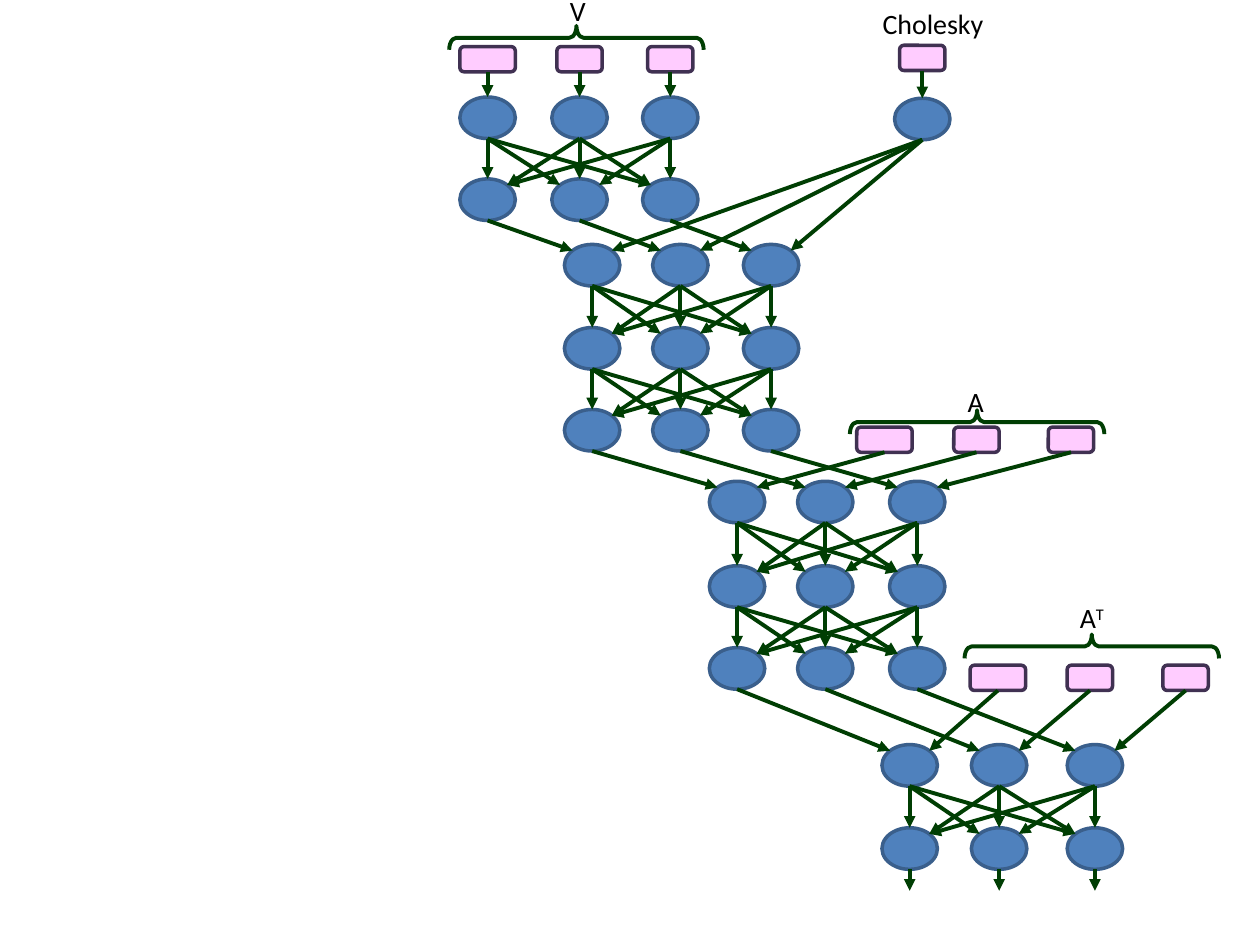
from dataclasses import dataclass
from lxml import etree
from pptx import Presentation
from pptx import util as u
from pptx.dml.color import RGBColor
from pptx.enum import shapes, text
from pptx.oxml import ns


@dataclass(frozen=True)
class Theme:
    node: tuple = ("4F81BD", "3A5F8C")
    block: tuple = ("FFCCFF", "403152")
    arrow: str = "003E03"
    ink: str = "000000"
    font: str = "Calibri"
    size: float = 16
    outline: float = 2
    stroke: float = 2.25


theme = Theme()
OVAL = shapes.MSO_SHAPE.OVAL
BLOCK = shapes.MSO_SHAPE.ROUNDED_RECTANGLE
DIAGONAL = 0.5 ** 0.5

deck = Presentation()
deck.slide_width = u.Inches(10)
deck.slide_height = u.Inches(7.5)
page = deck.slides.add_slide(deck.slide_layouts[6])


def add_node(kind, center, top, width, height, colors):
    node = page.shapes.add_shape(
        kind, u.Inches(center - width / 2), u.Inches(top), u.Inches(width), u.Inches(height)
    )
    node.shadow.inherit = False
    node.fill.solid()
    node.fill.fore_color.rgb = RGBColor.from_string(colors[0])
    node.line.color.rgb = RGBColor.from_string(colors[1])
    node.line.width = u.Pt(theme.outline)
    return node


def add_arrow(source, target=None, side=0):
    start_x = end_x = source.left + source.width // 2
    start_y = source.top + source.height
    end_y = start_y + u.Inches(0.17)
    if target is not None:
        end_x = target.left + target.width // 2
        end_y = target.top
        if side:
            end_x += int(side * DIAGONAL * target.width / 2)
            end_y += int((1 - DIAGONAL) * target.height / 2)
    arrow = page.shapes.add_connector(
        shapes.MSO_CONNECTOR.STRAIGHT, start_x, start_y, end_x, end_y
    )
    if source.auto_shape_type == BLOCK:
        arrow.begin_connect(source, 2)
    if target is not None and side == 0:
        arrow.end_connect(target, 0)
    arrow.line.color.rgb = RGBColor.from_string(theme.arrow)
    arrow.line.width = u.Pt(theme.stroke)
    tail = etree.SubElement(arrow.line._get_or_add_ln(), ns.qn("a:tailEnd"))
    tail.set("type", "triangle")
    etree.SubElement(arrow._element.spPr, ns.qn("a:effectLst"))


labels = [
    ("V", "", 4.42, -0.1, 0.33),
    ("Cholesky", "", 6.9, 0, 1.01),
    ("A", "", 7.58, 3, 0.33),
    ("A", "T", 8.47, 4.72, 0.39),
]
for base, raised, left, top, width in labels:
    box = page.shapes.add_textbox(u.Inches(left), u.Inches(top), u.Inches(width), u.Inches(0.37))
    frame = box.text_frame
    frame.word_wrap = False
    frame.auto_size = text.MSO_AUTO_SIZE.SHAPE_TO_FIT_TEXT
    para = frame.paragraphs[0]
    para.alignment = text.PP_ALIGN.CENTER
    para.font.name = theme.font
    para.font.size = u.Pt(theme.size)
    para.font.color.rgb = RGBColor.from_string(theme.ink)
    para.add_run().text = base
    if raised:
        span = para.add_run()
        span.text = raised
        span._r.get_or_add_rPr().set("baseline", "30000")

for left, top in [(4.48, -0.71), (7.66, 2.34), (8.57, 4.12)]:
    brace = page.shapes.add_shape(
        shapes.MSO_SHAPE.RIGHT_BRACE, u.Inches(left), u.Inches(top), u.Inches(0.19), u.Inches(2.02)
    )
    brace.rotation = 270
    brace.adjustments[0] = 0.292
    brace.shadow.inherit = False
    brace.fill.background()
    brace.line.color.rgb = RGBColor.from_string(theme.arrow)
    brace.line.width = u.Pt(theme.stroke)

cholesky_block = add_node(BLOCK, 7.32, 0.36, 0.36, 0.2, theme.block)
cholesky_node = add_node(OVAL, 7.32, 0.78, 0.44, 0.33, theme.node)
add_arrow(cholesky_block, cholesky_node)

stages = [
    ([3.87, 4.6, 5.32], [0.77, 1.42], [3.87, 4.6, 5.32], 0.37),
    ([4.7, 5.4, 6.12], [1.94, 2.6, 3.25], None, None),
    ([5.85, 6.55, 7.28], [3.82, 4.49, 5.14], [7.02, 7.75, 8.5], 3.39),
    ([7.22, 7.93, 8.69], [5.91, 6.57], [7.92, 8.65, 9.41], 5.28),
]
previous = []
for centers, tops, block_centers, block_top in stages:
    rows = [
        [add_node(OVAL, center, top, 0.44, 0.33, theme.node) for center in centers]
        for top in tops
    ]
    if block_centers:
        inputs = [
            add_node(BLOCK, center, block_top, width, 0.2, theme.block)
            for center, width in zip(block_centers, [0.44, 0.36, 0.36])
        ]
    else:
        inputs = [cholesky_node] * 3
    for source, target in zip(inputs, rows[0]):
        add_arrow(source, target, 1 if previous else 0)
    for source, target in zip(previous, rows[0]):
        add_arrow(source, target, -1)
    for upper, lower in zip(rows, rows[1:]):
        for i, source in enumerate(upper):
            for j, target in enumerate(lower):
                add_arrow(source, target, (i > j) - (i < j))
    previous = rows[-1]

for node in previous:
    add_arrow(node)

deck.save("out.pptx")
